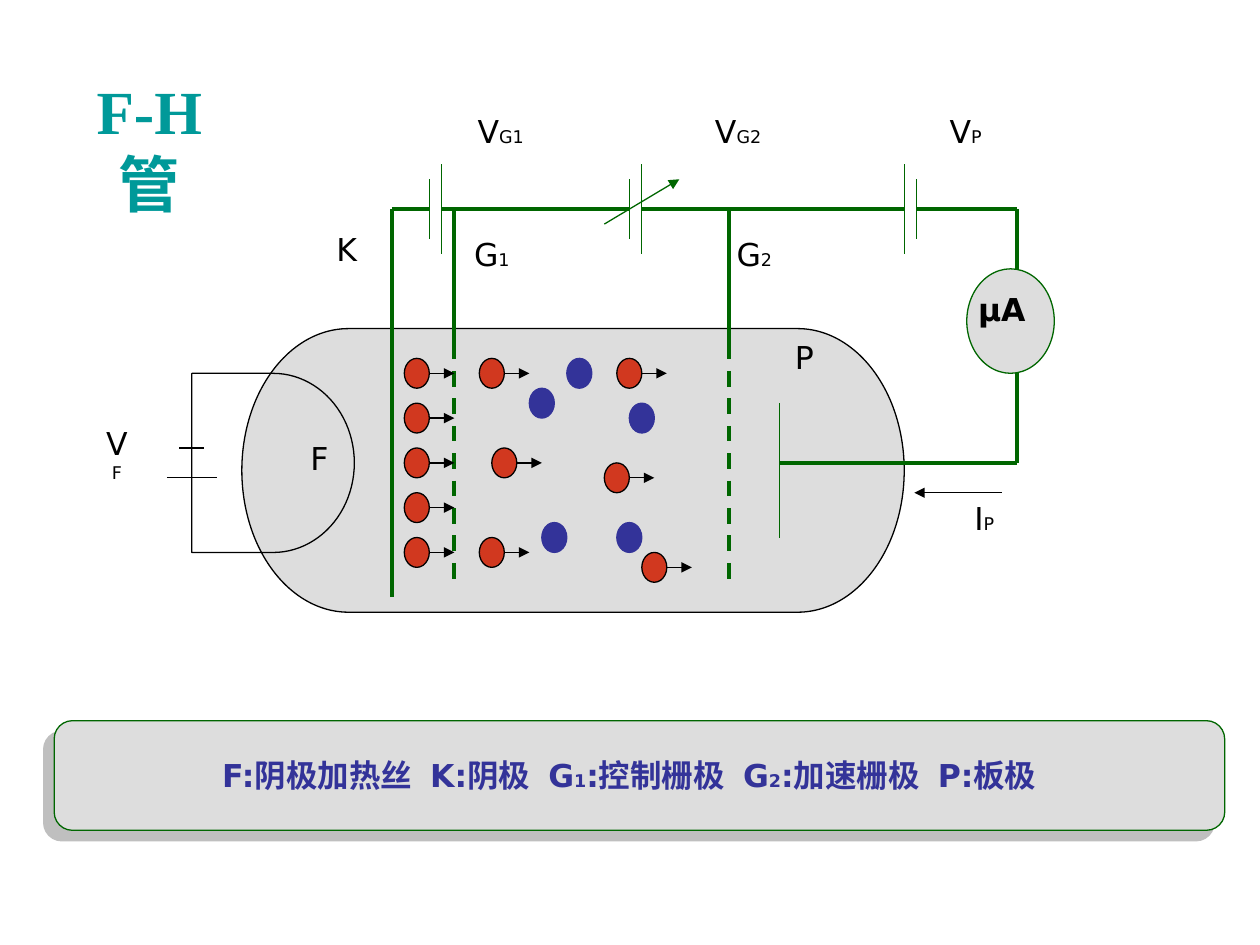
from typing import NamedTuple

from lxml.etree import SubElement
from pptx import Presentation
from pptx.dml.color import RGBColor
from pptx.enum.dml import MSO_LINE
from pptx.enum.shapes import MSO_CONNECTOR, MSO_SHAPE
from pptx.enum.text import MSO_ANCHOR, MSO_AUTO_SIZE, PP_ALIGN
from pptx.oxml.ns import qn
from pptx.util import Inches, Pt

# Circuit grid: column 0 is the cathode K, row 0 is the top wire
LEFT, TOP = 3.11, 1.66
COLUMN = (8.07 - LEFT) / 50
ROW = (4.74 - TOP) / 26

GREEN, BLACK, GREY = "006600", "000000", "DDDDDD"
BLUE, RED, TEAL, SHADOW = "333399", "D1381F", "009999", "808080"
THIN, THICK = 0.75, 2.25
SANS, SERIF = "DejaVu Sans", "Times New Roman"


class Wire(NamedTuple):
    start: tuple[float, float]
    end: tuple[float, float]
    color: str = GREEN
    width: float = THICK
    dashed: bool = False
    arrow: bool = False


class Label(NamedTuple):
    text: str
    subscript: str
    center: float
    top: float
    columns: float
    bold: bool = False


def rgb(color: str) -> RGBColor:
    return RGBColor.from_string(color)


def x(column: float) -> int:
    return Inches(LEFT + column * COLUMN)


def y(row: float) -> int:
    return Inches(TOP + row * ROW)


def style_run(run, size: float, color: str, font: str = SANS, bold: bool = False) -> None:
    run.font.size, run.font.name, run.font.bold = Pt(size), font, bold
    run.font.color.rgb = rgb(color)


def draw_wire(slide, wire: Wire) -> None:
    connector = slide.shapes.add_connector(
        MSO_CONNECTOR.STRAIGHT, x(wire.start[0]), y(wire.start[1]), x(wire.end[0]), y(wire.end[1]))
    connector.line.color.rgb = rgb(wire.color)
    connector.line.width = Pt(wire.width)
    if wire.dashed:
        connector.line.dash_style = MSO_LINE.DASH
    if wire.arrow:
        SubElement(connector.line._get_or_add_ln(), qn("a:tailEnd"), type="triangle")
    SubElement(connector._element.spPr, qn("a:effectLst"))


def draw_shape(slide, kind, box: tuple, fill: str | None, line: str):
    shape = slide.shapes.add_shape(kind, *box)
    shape.shadow.inherit = False
    if fill:
        shape.fill.solid()
        shape.fill.fore_color.rgb = rgb(fill)
    else:
        shape.fill.background()
    shape.line.color.rgb = rgb(line)
    shape.line.width = Pt(THIN)
    return shape


def grid_box(column: float, row: float, columns: float, rows: float) -> tuple:
    return x(column), y(row), Inches(columns * COLUMN), Inches(rows * ROW)


def draw_ball(slide, column: float, row: float, fill: str, line: str) -> None:
    draw_shape(slide, MSO_SHAPE.OVAL, grid_box(column, row, 2, 2), fill, line)


def draw_label(slide, label: Label) -> None:
    box = slide.shapes.add_textbox(
        x(label.center - label.columns / 2), y(label.top), Inches(label.columns * COLUMN), Inches(0.4))
    box.text_frame.word_wrap = False
    paragraph = box.text_frame.paragraphs[0]
    paragraph.alignment = PP_ALIGN.CENTER
    for text, size in ((label.text, 18), (label.subscript, 10)):
        if text:
            run = paragraph.add_run()
            run.text = text
            style_run(run, size, BLACK, bold=label.bold)


def draw_title(slide) -> None:
    title = slide.shapes.title
    title.left, title.top, title.width, title.height = map(Inches, (0.47, 0.53, 1.53, 0.68))
    frame = title.text_frame
    frame.text = "F-H管"
    frame.auto_size = MSO_AUTO_SIZE.NONE
    frame.word_wrap = True
    frame.vertical_anchor = MSO_ANCHOR.TOP
    frame.margin_right = Inches(0.2)
    paragraph = frame.paragraphs[0]
    paragraph.alignment = PP_ALIGN.CENTER
    style_run(paragraph.runs[0], 35, TEAL, SERIF, True)


def draw_legend(slide) -> None:
    panel = draw_shape(slide, MSO_SHAPE.ROUNDED_RECTANGLE,
                       tuple(map(Inches, (0.43, 5.72, 9.29, 0.87))), GREY, GREEN)
    effects = panel._element.spPr.find(qn("a:effectLst"))
    shadow = SubElement(effects, qn("a:outerShdw"), dist=str(Pt(8.5)), dir=str(135 * 60000),
                        algn="ctr", rotWithShape="0")
    color = SubElement(shadow, qn("a:srgbClr"), val=SHADOW)
    SubElement(color, qn("a:alpha"), val="50000")

    box = slide.shapes.add_textbox(*map(Inches, (1.53, 5.95, 6.93, 0.4)))
    box.text_frame.word_wrap = True
    paragraph = box.text_frame.paragraphs[0]
    paragraph.alignment = PP_ALIGN.CENTER
    entries = [("F", "", "阴极加热丝"), ("K", "", "阴极"), ("G", "1", "控制栅极"),
               ("G", "2", "加速栅极"), ("P", "", "板极")]
    for number, (symbol, subscript, meaning) in enumerate(entries):
        gap = " " if number else ""
        for text, size in ((gap, 18), (symbol, 18), (subscript, 10), (":" + meaning, 18)):
            if text:
                run = paragraph.add_run()
                run.text = text
                style_run(run, size, BLUE, bold=True)
                if text == gap:  # widen the gap between entries
                    run.font._element.set("spc", "630")


# Battery plates, drawn behind the tube
LONG_PLATES = [Wire((column, -3), (column, 3), width=THIN) for column in (41, 20, 4)]
SHORT_PLATES = [Wire((column, -2), (column, 2), width=THIN) for column in (42, 19, 3)]
TOP_WIRES = [Wire((start, 0), (end, 0)) for start, end in ((0, 3), (4, 19), (20, 41), (42, 50))]
GRIDS = [wire for column in (5, 27) for wire in (
    Wire((column, 0), (column, 9)), Wire((column, 9), (column, 25), dashed=True))]
CIRCUIT = [
    Wire((0, 26), (0, 0)),
    *GRIDS,
    Wire((31, 13), (31, 22), width=THIN),
    Wire((31, 17), (50, 17)),
    Wire((50, 11), (50, 17)),
    Wire((50, 4), (50, 0)),
    *TOP_WIRES,
    *SHORT_PLATES,
    Wire((17, 1), (23, -2), width=THIN, arrow=True),
    Wire((-18, 18), (-14, 18), BLACK, THIN),
    Wire((-17, 16), (-15, 16), BLACK, THIN),
    Wire((48.8, 19), (41.8, 19), BLACK, THIN, arrow=True),
]
ATOMS = [(11, 12), (14, 10), (12, 21), (19, 13), (18, 21)]
ELECTRONS = [(1, row) for row in range(10, 23, 3)] + [
    (7, 10), (8, 16), (7, 22), (18, 10), (17, 17), (20, 23)]
LABELS = [
    Label("K", "", -3.6, 1, 4), Label("G", "1", 8, 1.3, 5), Label("G", "2", 29, 1.3, 5),
    Label("P", "", 33, 8.2, 3.5), Label("μA", "", 48.8, 5, 12, True),
    Label("V", "G1", 8.7, -6.9, 6), Label("V", "G2", 27.7, -6.9, 6), Label("V", "P", 45.9, -6.9, 5),
    Label("V", "F", -22, 14, 4.5), Label("F", "", -5.8, 15, 3.5), Label("I", "P", 47.4, 19, 4),
]


def main() -> None:
    presentation = Presentation()
    presentation.slide_width, presentation.slide_height = Inches(10), Inches(7.5)
    slide = presentation.slides.add_slide(presentation.slide_layouts[5])

    # Tube, heater and circuit
    for wire in LONG_PLATES:
        draw_wire(slide, wire)
    draw_shape(slide, MSO_SHAPE.FLOWCHART_TERMINATOR, grid_box(-12, 8, 53, 19), GREY, BLACK)
    draw_shape(slide, MSO_SHAPE.FLOWCHART_DELAY, grid_box(-16, 11, 13, 12), None, BLACK)
    for wire in CIRCUIT:
        draw_wire(slide, wire)
    draw_shape(slide, MSO_SHAPE.OVAL, grid_box(46, 4, 7, 7), GREY, GREEN)

    # Atoms and moving electrons
    for column, row in ATOMS:
        draw_ball(slide, column, row, BLUE, BLUE)
    for column, row in ELECTRONS:
        draw_ball(slide, column, row, RED, BLACK)
        draw_wire(slide, Wire((column + 2, row + 1), (column + 4, row + 1), BLACK, THIN, arrow=True))

    # Text
    for label in LABELS:
        draw_label(slide, label)
    draw_legend(slide)
    draw_title(slide)
    presentation.save("out.pptx")


if __name__ == "__main__":
    main()
